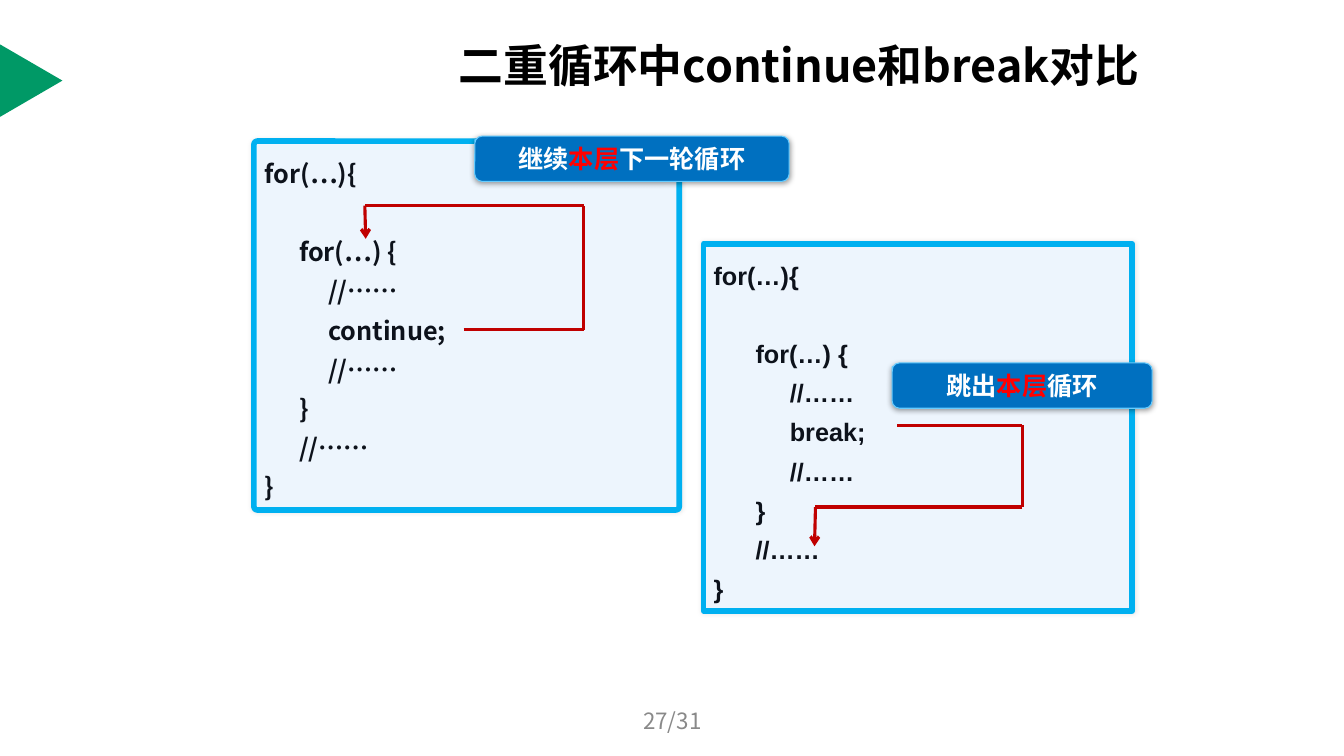
"""Build a slide that compares continue and break in nested loops."""
from dataclasses import dataclass
from itertools import pairwise

from lxml.etree import SubElement
from pptx import Presentation
from pptx.dml.color import RGBColor
from pptx.enum.shapes import MSO_CONNECTOR, MSO_SHAPE
from pptx.enum.text import MSO_ANCHOR, PP_ALIGN
from pptx.oxml.ns import qn
from pptx.shapes.autoshape import Shape
from pptx.slide import Slide
from pptx.util import Pt

BLACK = RGBColor(0x00, 0x00, 0x00)
WHITE = RGBColor(0xFF, 0xFF, 0xFF)
INK = RGBColor(0x0D, 0x12, 0x1B)
GREY = RGBColor(0x89, 0x89, 0x89)
GREEN = RGBColor(0x00, 0x99, 0x66)
PALE = RGBColor(0xED, 0xF5, 0xFD)
SKY = RGBColor(0x00, 0xB0, 0xF0)
BLUE = RGBColor(0x00, 0x70, 0xC0)
EDGE = RGBColor(0x66, 0xCC, 0xFF)
RED = RGBColor(0xFF, 0x00, 0x00)
DARK = RGBColor(0xC0, 0x00, 0x00)
NOTO = "Noto Sans CJK SC"
PITCH = 28


@dataclass(frozen=True)
class Box:
    left: float
    top: float
    width: float
    height: float


@dataclass(frozen=True)
class Shade:
    alpha: int
    blur: float
    dist: float
    angle: int


@dataclass(frozen=True)
class Panel:
    box: Box
    curve: float
    face: str
    steps: tuple[float, float, float]
    jump: str


@dataclass(frozen=True)
class Label:
    box: Box
    before: str
    after: str


PANELS = [
    Panel(Box(181.4, 100.8, 303.8, 263.5), 0.009, NOTO, (0, 24.5, 45.3), "continue;"),
    Panel(Box(502.6, 174.2, 306, 262.1), 0, "Arial", (0, 30, 54.5), "break;"),
]
LABELS = [
    Label(Box(339.1, 97.2, 224.6, 32.4), "继续", "下一轮循环"),
    Label(Box(637.2, 259.2, 185.8, 32.4), "跳出", "循环"),
]
ROUTES = [
    [(331.2, 235.4), (416.9, 235.4), (416.9, 146.9), (260.6, 146.9), (261.2, 170.6)],
    [(640.8, 303.8), (730.1, 303.8), (730.1, 362.2), (582.5, 362.2), (581.8, 390.2)],
]


def place(shape: Shape, box: Box) -> None:
    """Move and size a shape."""
    shape.left, shape.top = Pt(box.left), Pt(box.top)
    shape.width, shape.height = Pt(box.width), Pt(box.height)


def style(para, size: float, color: RGBColor, bold: bool = True, face: str = NOTO) -> None:
    """Set the font of a paragraph, East Asian face included."""
    font = para.font
    font.size, font.bold, font.name = Pt(size), bold, face
    font.color.rgb = color
    props = para._p.get_or_add_pPr().find(qn("a:defRPr"))
    SubElement(props, qn("a:ea"), typeface=face)


def shade(shape: Shape, look: Shade) -> None:
    """Give a shape a soft black shadow."""
    shape.shadow.inherit = False
    effects = shape._element.spPr.find(qn("a:effectLst"))
    outer = SubElement(effects, qn("a:outerShdw"), blurRad=str(Pt(look.blur)),
                       dist=str(Pt(look.dist)), dir=str(look.angle * 60000),
                       algn="ctr", rotWithShape="0")
    color = SubElement(outer, qn("a:srgbClr"), val=str(BLACK))
    SubElement(color, qn("a:alpha"), val=str(look.alpha * 1000))


def add_form(slide: Slide, kind: MSO_SHAPE, box: Box, fill: RGBColor) -> Shape:
    """Add a filled shape without a line."""
    shape = slide.shapes.add_shape(kind, 0, 0, 0, 0)
    place(shape, box)
    shape.fill.solid()
    shape.fill.fore_color.rgb = fill
    shape.line.fill.background()
    shape.shadow.inherit = False
    return shape


def outline(shape: Shape, color: RGBColor, width: float) -> None:
    """Draw the edge of a shape or line."""
    shape.line.color.rgb = color
    shape.line.width = Pt(width)


def add_panel(slide: Slide, panel: Panel) -> None:
    """Add a framed code listing."""
    shape = add_form(slide, MSO_SHAPE.ROUNDED_RECTANGLE, panel.box, PALE)
    shape.adjustments[0] = panel.curve
    outline(shape, SKY, 4)
    shade(shape, Shade(10, 3, 0, 0))
    frame = shape.text_frame
    frame.vertical_anchor = MSO_ANCHOR.MIDDLE
    code = [(0, "for(…){"), (1, "for(…) {"), (2, "//……"), (2, panel.jump),
            (2, "//……"), (1, "}"), (1, "//……"), (0, "}")]
    frame.text = "\n".join(text for _, text in code)
    for row, (para, (depth, _)) in enumerate(zip(frame.paragraphs, code)):
        para.alignment = PP_ALIGN.LEFT
        para.line_spacing = Pt(PITCH)
        para.space_before = Pt(PITCH if row == 1 else 0)
        style(para, 18, INK, face=panel.face)
        para._p.pPr.set("marL", str(Pt(panel.steps[depth])))


def add_label(slide: Slide, label: Label) -> None:
    """Add a blue callout with its key word in red."""
    shape = add_form(slide, MSO_SHAPE.ROUNDED_RECTANGULAR_CALLOUT, label.box, BLUE)
    for spot, value in enumerate((-0.499, -0.422, 0.167)):
        shape.adjustments[spot] = value
    outline(shape, EDGE, 0.75)
    shade(shape, Shade(40, 4, 1, 90))
    shape.text_frame.vertical_anchor = MSO_ANCHOR.MIDDLE
    para = shape.text_frame.paragraphs[0]
    para.alignment = PP_ALIGN.CENTER
    style(para, 18, WHITE)
    for text, color in ((label.before, WHITE), ("本层", RED), (label.after, WHITE)):
        run = para.add_run()
        run.text = text
        run.font.color.rgb = color


def add_route(slide: Slide, points: list[tuple[float, float]]) -> None:
    """Join points with lines and end in an arrow."""
    for start, end in pairwise(points):
        line = slide.shapes.add_connector(
            MSO_CONNECTOR.STRAIGHT, *(Pt(value) for value in start + end))
        outline(line, DARK, 2.25)
        SubElement(line._element.spPr, qn("a:effectLst"))
    SubElement(line.line._get_or_add_ln(), qn("a:tailEnd"), type="arrow")


def add_title(slide: Slide) -> None:
    """Place and fill the title."""
    title = slide.shapes.title
    place(title, Box(320.4, 22.3, 505.4, 41))
    frame = title.text_frame
    frame.text = "二重循环中continue和break对比"
    frame.word_wrap = True
    frame.vertical_anchor = MSO_ANCHOR.MIDDLE
    para = frame.paragraphs[0]
    para.alignment = PP_ALIGN.LEFT
    para.line_spacing = Pt(44.5)
    style(para, 32, BLACK)


def add_count(slide: Slide) -> None:
    """Add the page count."""
    text = slide.shapes.add_textbox(0, 0, 0, 0)
    place(text, Box(328.3, 500.4, 303.8, 28.8))
    frame = text.text_frame
    frame.word_wrap = True
    frame.vertical_anchor = MSO_ANCHOR.MIDDLE
    frame.text = "27/31"
    para = frame.paragraphs[0]
    para.alignment = PP_ALIGN.CENTER
    style(para, 16, GREY, bold=False)


def main() -> None:
    """Build and save the slide."""
    deck = Presentation()
    deck.slide_width, deck.slide_height = Pt(960), Pt(540)
    slide = deck.slides.add_slide(deck.slide_layouts[5])
    wedge = add_form(slide, MSO_SHAPE.ISOSCELES_TRIANGLE, Box(-3.6, 35.3, 51.8, 44.6), GREEN)
    wedge.rotation = 90
    add_title(slide)
    for panel in PANELS:
        add_panel(slide, panel)
    for route in ROUTES:
        add_route(slide, route)
    for label in LABELS:
        add_label(slide, label)
    add_count(slide)
    deck.save("out.pptx")


if __name__ == "__main__":
    main()
